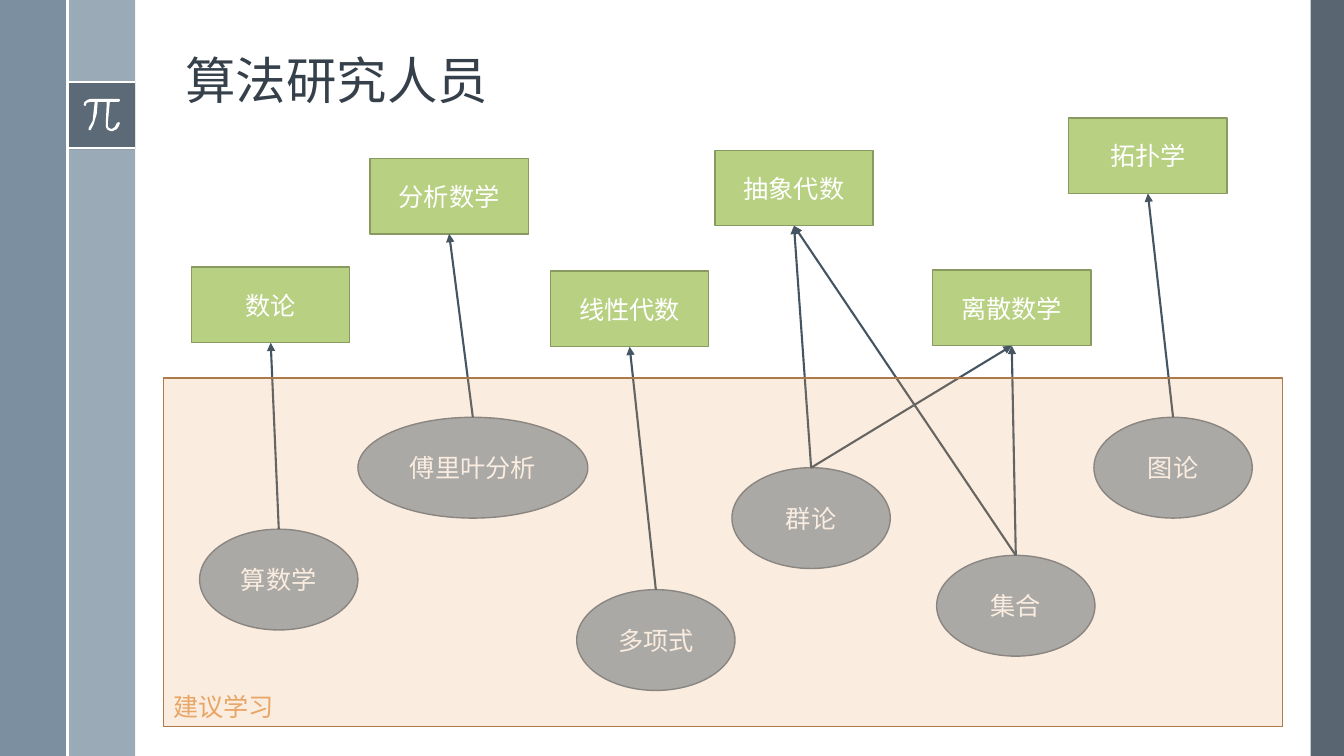
from dataclasses import dataclass
from typing import Optional

from lxml import etree
from pptx import Presentation
from pptx.dml import color
from pptx.enum import shapes, text
from pptx.oxml import ns
from pptx.util import Inches, Pt


@dataclass(frozen=True)
class Theme:
    font: str = "Arial"
    title_size: int = 36
    label_size: int = 18
    title: str = "35404A"
    white: str = "FFFFFF"
    slate: str = "475562"
    steel: str = "6A8093"
    mist: str = "9BAAB7"
    mist_edge: str = "737E87"
    green: str = "B8D082"
    green_edge: str = "889A60"
    orange: str = "E8A565"
    orange_edge: str = "AC7A4B"
    arrow: str = "465562"
    thin: float = 1
    thick: float = 1.5


@dataclass(frozen=True)
class Box:
    left: float
    top: float
    width: float
    height: float
    fill: str
    opacity: int = 100
    edge: Optional[str] = None
    kind: shapes.MSO_SHAPE = shapes.MSO_SHAPE.RECTANGLE


@dataclass(frozen=True)
class Node:
    label: str
    left: float
    top: float
    width: float = 1.57


T = Theme()

# Side bands of the page
BANDS = [
    Box(13, 0, 0.33, 7.5, T.slate, 90),
    Box(0.67, 0, 0.67, 7.5, T.mist),
    Box(0, 0, 0.67, 7.5, T.steel, 88),
    Box(0.67, 0.81, 0.67, 0.67, T.slate, 75),
]
RULES = [(0.67, 0.81, 1.34, 0.81), (0.67, 1.47, 1.34, 1.47), (0.67, 0, 0.67, 7.5)]

# Outline of the pi sign, in hundredths of an inch
PI_OUTLINE = [
    (118, 98), (90, 98), (87, 98.7), (84.5, 101), (83, 104), (84, 105), (85, 105),
    (86.5, 102.5), (90, 101), (94, 101), (93.2, 110), (91.5, 120), (88, 127),
    (88, 129), (89, 129.3), (90, 129), (93, 123), (95.5, 113), (97, 101), (106, 101),
    (105, 122), (105, 126), (107, 129), (110, 130), (112, 130), (115.5, 128),
    (118, 125), (119, 122), (118, 121), (116, 122), (114.5, 126), (111, 128),
    (108, 127), (107, 125), (107, 122), (109, 101), (118, 101), (119, 100), (119, 99),
]

# Subjects above, topics to study below
SUBJECTS = [
    Node("线性代数", 5.46, 2.69),
    Node("抽象代数", 7.09, 1.49),
    Node("离散数学", 9.25, 2.68),
    Node("分析数学", 3.67, 1.57),
    Node("拓扑学", 10.6, 1.17),
    Node("数论", 1.9, 2.65),
]
TOPICS = [
    Node("多项式", 5.72, 5.85),
    Node("集合", 9.29, 5.51),
    Node("图论", 10.85, 4.14),
    Node("群论", 7.26, 4.64),
    Node("傅里叶分析", 3.55, 4.14, 2.28),
    Node("算数学", 1.98, 5.25),
]
LINKS = [
    ("算数学", "数论"),
    ("傅里叶分析", "分析数学"),
    ("多项式", "线性代数"),
    ("群论", "抽象代数"),
    ("图论", "拓扑学"),
    ("集合", "离散数学"),
    ("群论", "离散数学"),
    ("集合", "抽象代数"),
]


def rgb(value: str) -> color.RGBColor:
    return color.RGBColor.from_string(value)


def format_text(tf, label: str, size: int, ink: str, align, anchor) -> None:
    tf.text = label
    tf.word_wrap = True
    tf.vertical_anchor = anchor
    p = tf.paragraphs[0]
    p.alignment = align
    font = p.runs[0].font
    font.name, font.size, font.color.rgb = T.font, Pt(size), rgb(ink)


def add_box(slide, box: Box):
    sp = slide.shapes.add_shape(
        box.kind, *map(Inches, (box.left, box.top, box.width, box.height)))
    sp.shadow.inherit = False
    sp.fill.solid()
    sp.fill.fore_color.rgb = rgb(box.fill)
    if box.opacity < 100:
        clr = sp.fill._xPr.find(".//" + ns.qn("a:srgbClr"))
        etree.SubElement(clr, ns.qn("a:alpha"), val=str(box.opacity * 1000))
    if box.edge:
        sp.line.color.rgb = rgb(box.edge)
        sp.line.width = Pt(T.thin)
    else:
        sp.line.fill.background()
    return sp


def add_node(slide, node: Node, height: float, fill: str, edge: str, kind):
    sp = add_box(slide, Box(node.left, node.top, node.width, height, fill,
                            edge=edge, kind=kind))
    format_text(sp.text_frame, node.label, T.label_size, T.white,
                text.PP_ALIGN.CENTER, text.MSO_ANCHOR.MIDDLE)
    return sp


def add_line(slide, ink: str, ends=(0, 0, 0, 0)):
    line = slide.shapes.add_connector(
        shapes.MSO_CONNECTOR.STRAIGHT, *map(Inches, ends))
    line.line.color.rgb = rgb(ink)
    line.line.width = Pt(T.thick)
    etree.SubElement(line._element.spPr, ns.qn("a:effectLst"))
    return line


def add_arrow(slide, topic, subject) -> None:
    line = add_line(slide, T.arrow)
    line.begin_connect(topic, 0)
    line.end_connect(subject, 2)
    etree.SubElement(line.line._get_or_add_ln(), ns.qn("a:tailEnd"), type="triangle")


def add_pi(slide) -> None:
    builder = slide.shapes.build_freeform(*PI_OUTLINE[0], scale=Inches(0.01))
    builder.add_line_segments(PI_OUTLINE[1:], close=True)
    sp = builder.convert_to_shape()
    sp.shadow.inherit = False
    sp.fill.solid()
    sp.fill.fore_color.rgb = rgb(T.white)
    sp.line.fill.background()


def main() -> None:
    prs = Presentation()
    prs.slide_width, prs.slide_height = Inches(13.33), Inches(7.5)
    slide = prs.slides.add_slide(prs.slide_layouts[5])

    # Page frame
    for band in BANDS:
        add_box(slide, band)
    for ends in RULES:
        add_line(slide, T.white, ends)
    add_pi(slide)

    # Title
    title = slide.shapes.title
    title.left, title.top, title.width, title.height = map(
        Inches, (1.74, 0.19, 10.7, 0.96))
    format_text(title.text_frame, "算法研究人员", T.title_size, T.title,
                text.PP_ALIGN.LEFT, text.MSO_ANCHOR.BOTTOM)
    title.text_frame.paragraphs[0].line_spacing = 0.9

    # Subjects, topics and the arrows between them
    topics = {n.label: add_node(slide, n, 1, T.mist, T.mist_edge, shapes.MSO_SHAPE.OVAL)
              for n in TOPICS}
    subjects = {n.label: add_node(slide, n, 0.75, T.green, T.green_edge,
                                  shapes.MSO_SHAPE.RECTANGLE)
                for n in SUBJECTS}
    for topic, subject in LINKS:
        add_arrow(slide, topics[topic], subjects[subject])

    # Translucent study area
    area = add_box(slide, Box(1.62, 3.75, 11.1, 3.46, T.orange, 20, T.orange_edge))
    format_text(area.text_frame, "建议学习", T.label_size, T.orange,
                text.PP_ALIGN.LEFT, text.MSO_ANCHOR.BOTTOM)

    prs.save("out.pptx")


if __name__ == "__main__":
    main()
